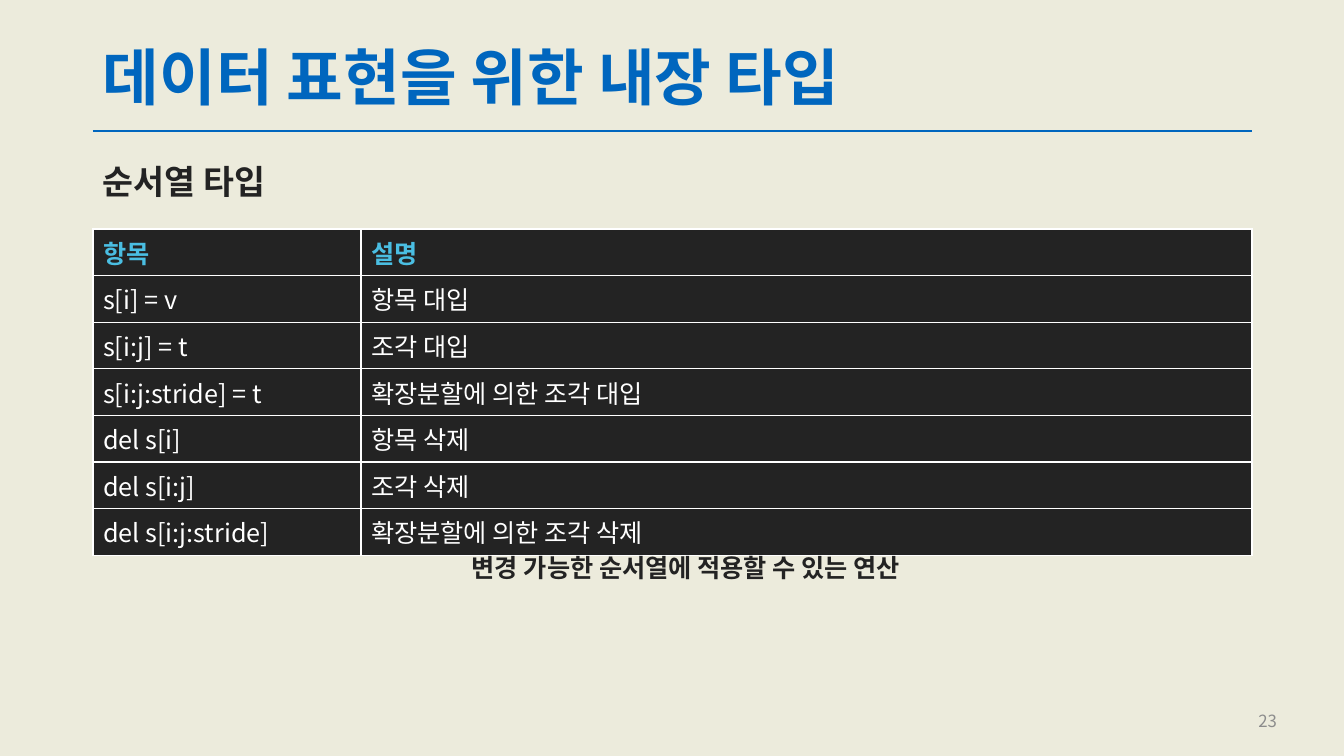
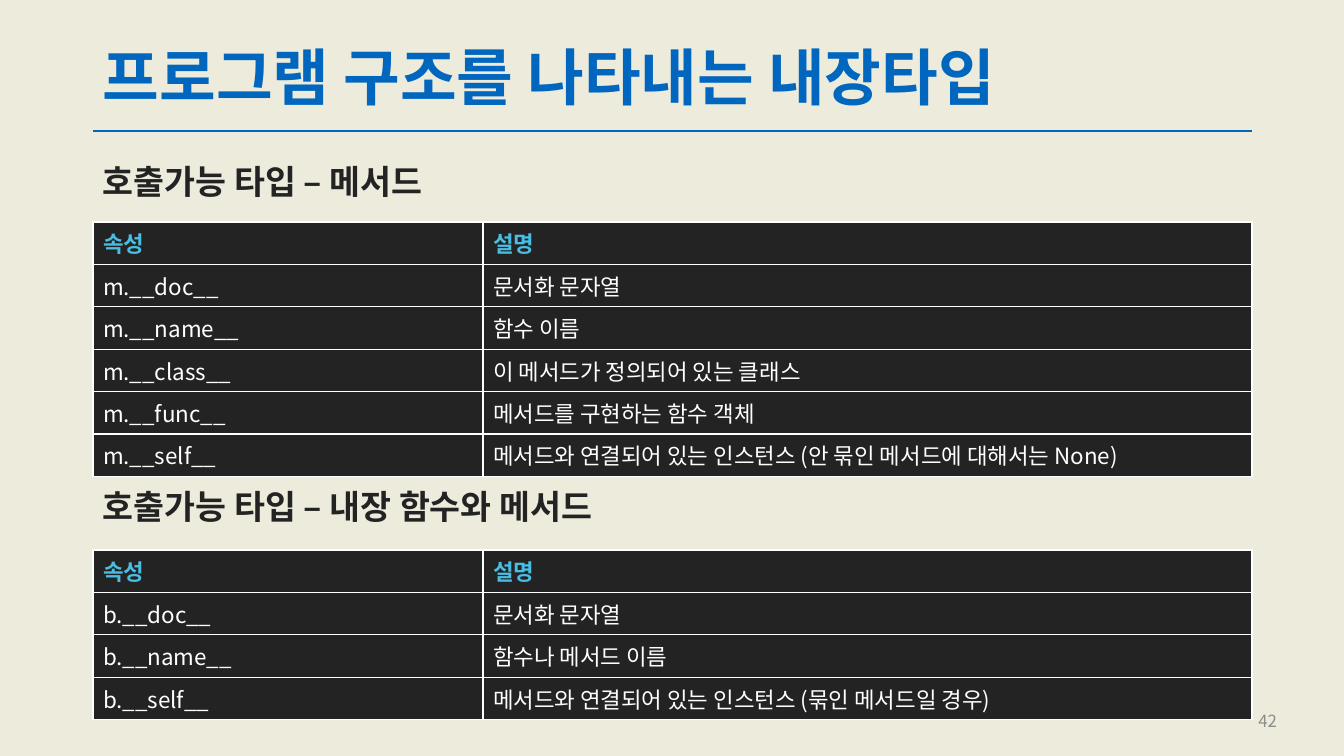
from dataclasses import dataclass

from lxml.etree import SubElement
from pptx import Presentation
from pptx.dml.color import RGBColor
from pptx.enum.shapes import MSO_CONNECTOR
from pptx.enum.text import MSO_ANCHOR, MSO_AUTO_SIZE, PP_ALIGN
from pptx.oxml.ns import qn
from pptx.presentation import Presentation as Deck
from pptx.slide import Slide
from pptx.table import _Cell as Cell
from pptx.text.text import TextFrame, _Paragraph as Paragraph
from pptx.util import Emu, Pt

PIXEL = 914400 / 100.8
FONT = "Noto Sans CJK KR"
COLORS = {
    "paper": "ECEBDC",
    "accent": "0066BE",
    "ink": "232323",
    "header": "4ABEE2",
    "white": "FFFFFF",
    "muted": "8C8C8C",
}
LEFT, WIDTH, RULE_TOP = 93, 1159, 131


@dataclass(frozen=True)
class TextStyle:
    size: int
    color: str
    bold: bool = False
    align: PP_ALIGN = PP_ALIGN.LEFT
    anchor: MSO_ANCHOR = MSO_ANCHOR.TOP
    line_spacing: float = 1.0
    space_before: int = 0
    wrap: bool = True


@dataclass(frozen=True)
class Label:
    text: str
    left: int
    top: int
    width: int
    height: int
    style: TextStyle


@dataclass(frozen=True)
class Grid:
    top: int
    columns: tuple[int, int]
    row_height: int
    size: int
    rows: tuple[tuple[str, str], ...]


@dataclass(frozen=True)
class Page:
    title: str
    number: int
    labels: tuple[Label, ...]
    grids: tuple[Grid, ...]


TITLE = TextStyle(44, "accent", True, anchor=MSO_ANCHOR.MIDDLE, line_spacing=0.9)
SUBTITLE = TextStyle(24, "ink", True, line_spacing=0.9, space_before=10)
CAPTION = TextStyle(18, "ink", True, PP_ALIGN.CENTER, wrap=False)
NUMBER = TextStyle(12, "muted", align=PP_ALIGN.RIGHT, anchor=MSO_ANCHOR.MIDDLE)


def px(length: int) -> Emu:
    return Emu(round(length * PIXEL))


def rgb(name: str) -> RGBColor:
    return RGBColor.from_string(COLORS[name])


def write_span(para: Paragraph, text: str, style: TextStyle) -> None:
    para.alignment = style.align
    para.line_spacing = style.line_spacing
    para.space_before = Pt(style.space_before)
    span = para.add_run()
    span.text = text
    font = span.font
    font.size = Pt(style.size)
    font.bold = style.bold
    font.color.rgb = rgb(style.color)
    font.name = FONT
    SubElement(span._r.get_or_add_rPr(), qn("a:ea"), typeface=FONT)


def draw_label(slide: Slide, label: Label) -> None:
    box = slide.shapes.add_textbox(
        px(label.left), px(label.top), px(label.width), px(label.height)
    )
    frame: TextFrame = box.text_frame
    frame.word_wrap = label.style.wrap
    frame.auto_size = MSO_AUTO_SIZE.NONE if label.style.wrap else MSO_AUTO_SIZE.SHAPE_TO_FIT_TEXT
    frame.vertical_anchor = label.style.anchor
    write_span(frame.paragraphs[0], label.text, label.style)


def draw_rule(slide: Slide) -> None:
    rule = slide.shapes.add_connector(
        MSO_CONNECTOR.STRAIGHT, px(LEFT), px(RULE_TOP), px(LEFT + WIDTH), px(RULE_TOP)
    )
    rule.line.color.rgb = rgb("accent")
    rule.line.width = Pt(1.5)
    SubElement(rule._element.spPr, qn("a:effectLst"))


def add_borders(cell: Cell) -> None:
    properties = cell._tc.get_or_add_tcPr()
    for side in ("lnL", "lnR", "lnT", "lnB"):
        line = SubElement(properties, qn(f"a:{side}"), w=str(Pt(1)))
        fill = SubElement(line, qn("a:solidFill"))
        SubElement(fill, qn("a:srgbClr"), val=COLORS["white"])


def draw_grid(slide: Slide, grid: Grid) -> None:
    count = len(grid.rows)
    table = slide.shapes.add_table(
        count, 2, px(LEFT), px(grid.top), px(WIDTH), px(grid.row_height * count)
    ).table
    table.horz_banding = False
    for column, width in zip(table.columns, grid.columns):
        column.width = px(width)
    header = TextStyle(grid.size, "header", True)
    body = TextStyle(grid.size, "white")
    for row_index, texts in enumerate(grid.rows):
        table.rows[row_index].height = px(grid.row_height)
        for column_index, text in enumerate(texts):
            cell = table.cell(row_index, column_index)
            add_borders(cell)
            cell.fill.solid()
            cell.fill.fore_color.rgb = rgb("ink")
            cell.vertical_anchor = MSO_ANCHOR.MIDDLE
            style = body if row_index else header
            write_span(cell.text_frame.paragraphs[0], text, style)


def draw_page(deck: Deck, page: Page) -> None:
    slide = deck.slides.add_slide(deck.slide_layouts[6])
    draw_rule(slide)
    draw_label(slide, Label(page.title, LEFT, 40, WIDTH, 81, TITLE))
    draw_label(slide, Label(str(page.number), 985, 701, 302, 40, NUMBER))
    for grid in page.grids:
        draw_grid(slide, grid)
    for label in page.labels:
        draw_label(slide, label)


def subtitle(text: str, top: int) -> Label:
    return Label(text, LEFT, top, WIDTH, 50, SUBTITLE)


def attribute_grid(top: int, *rows: tuple[str, str]) -> Grid:
    return Grid(top, (390, 769), 42, 16, (("속성", "설명"), *rows))


PAGES = (
    Page(
        "데이터 표현을 위한 내장 타입",
        23,
        (
            subtitle("순서열 타입", 161),
            Label("변경 가능한 순서열에 적용할 수 있는 연산", 428, 547, 516, 40, CAPTION),
        ),
        (
            Grid(
                229,
                (268, 891),
                46,
                18,
                (
                    ("항목", "설명"),
                    ("s[i] = v", "항목 대입"),
                    ("s[i:j] = t", "조각 대입"),
                    ("s[i:j:stride] = t", "확장분할에 의한 조각 대입"),
                    ("del s[i]", "항목 삭제"),
                    ("del s[i:j]", "조각 삭제"),
                    ("del s[i:j:stride]", "확장분할에 의한 조각 삭제"),
                ),
            ),
        ),
    ),
    Page(
        "프로그램 구조를 나타내는 내장타입",
        42,
        (
            subtitle("호출가능 타입 – 메서드", 161),
            subtitle("호출가능 타입 – 내장 함수와 메서드", 486),
        ),
        (
            attribute_grid(
                222,
                ("m.__doc__", "문서화 문자열"),
                ("m.__name__", "함수 이름"),
                ("m.__class__", "이 메서드가 정의되어 있는 클래스"),
                ("m.__func__", "메서드를 구현하는 함수 객체"),
                ("m.__self__", "메서드와 연결되어 있는 인스턴스 (안 묶인 메서드에 대해서는 None)"),
            ),
            attribute_grid(
                550,
                ("b.__doc__", "문서화 문자열"),
                ("b.__name__", "함수나 메서드 이름"),
                ("b.__self__", "메서드와 연결되어 있는 인스턴스 (묶인 메서드일 경우)"),
            ),
        ),
    ),
)


def main() -> None:
    deck = Presentation()
    deck.slide_width, deck.slide_height = px(1344), px(756)
    background = deck.slide_master.background.fill
    background.solid()
    background.fore_color.rgb = rgb("paper")
    for page in PAGES:
        draw_page(deck, page)
    deck.save("out.pptx")


main()
